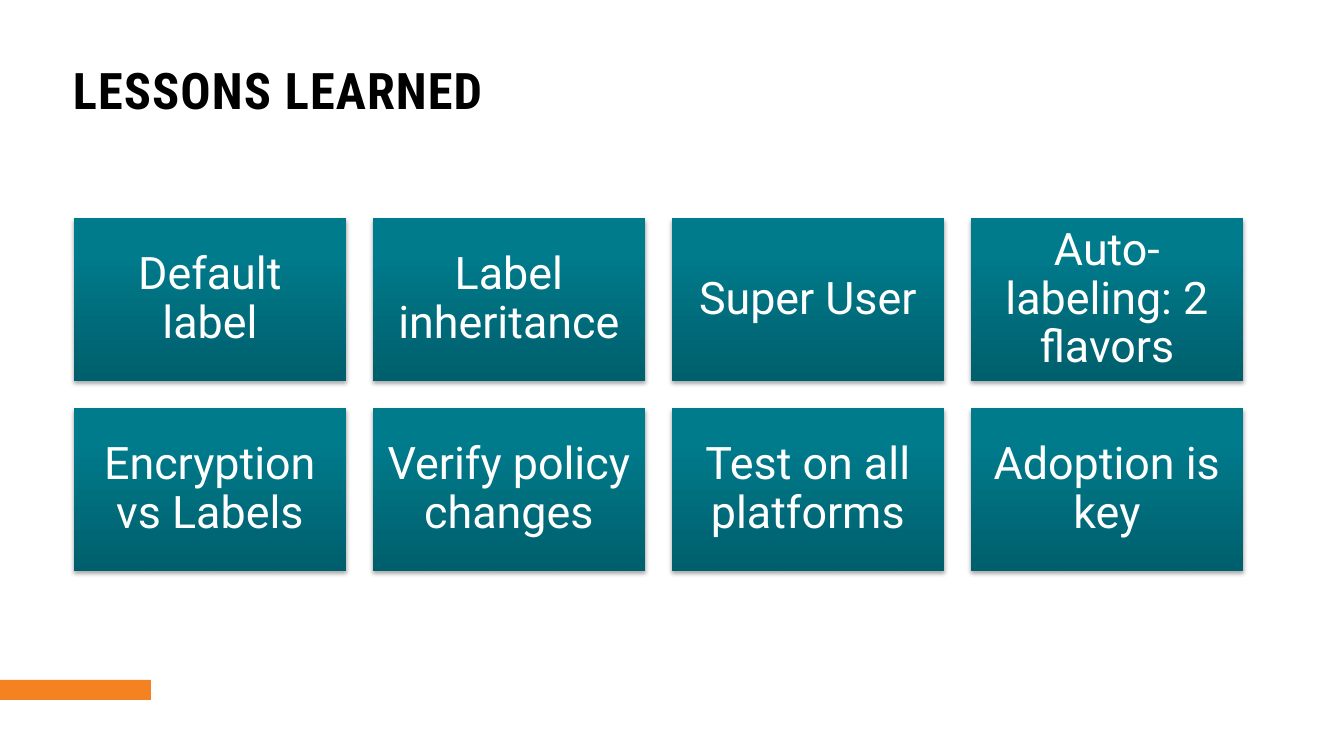
"""Build the Lessons Learned slide with a grid of eight cards."""
from copy import deepcopy

from lxml import etree
from pptx import Presentation
from pptx.dml.color import RGBColor
from pptx.enum.shapes import MSO_SHAPE
from pptx.enum.text import MSO_ANCHOR, PP_ALIGN
from pptx.oxml.ns import qn
from pptx.util import Pt

RECT = MSO_SHAPE.RECTANGLE
TOP, MIDDLE = MSO_ANCHOR.TOP, MSO_ANCHOR.MIDDLE
LEFT, CENTER = PP_ALIGN.LEFT, PP_ALIGN.CENTER

SCALE = 12192000 / 1344
CARD_W, CARD_H = 272, 163
GRID_X, GRID_Y = 74, 218
STEP_X, STEP_Y = 299, 190
COLUMNS = 4
GRADIENT = [(0, "005F6C"), (0.8, "007B8C"), (1, "007C8D")]
LABELS = [
    "Default label", "Label inheritance", "Super User", "Auto-labeling: 2 flavors",
    "Encryption vs Labels", "Verify policy changes", "Test on all platforms", "Adoption is key",
]
TITLE_FONT = {"name": "Roboto Condensed", "size": Pt(36), "bold": True}
CARD_FONT = {"name": "Roboto", "size": Pt(32)}


def px(*values):
    return [round(v * SCALE) for v in values]


def write(sp, text, font, color, align, anchor, spacing, inset):
    tf = sp.text_frame
    tf.word_wrap = True
    tf.vertical_anchor = anchor
    for side in ("left", "top", "right", "bottom"):
        setattr(tf, f"margin_{side}", px(inset)[0])
    p = tf.paragraphs[0]
    p.alignment = align
    p.line_spacing = spacing
    r = p.add_run()
    r.text = text
    for key, value in font.items():
        setattr(r.font, key, value)
    r.font.color.rgb = RGBColor.from_string(color)
    return r


prs = Presentation()
prs.slide_width, prs.slide_height = px(1344, 756)
s = prs.slides.add_slide(prs.slide_layouts[6])

brand_bar = s.shapes.add_shape(RECT, *px(0, 680, 151, 20))
brand_bar.shadow.inherit = False
brand_bar.fill.solid()
brand_bar.fill.fore_color.rgb = RGBColor.from_string("F58220")
brand_bar.line.fill.background()

title = s.shapes.add_textbox(*px(73, 64, 1211, 108))
r = write(title, "LESSONS LEARNED", TITLE_FONT, "000000", LEFT, TOP, 0.94, 0)
r.font._element.set("spc", "80")

for i, label in enumerate(LABELS):
    row, col = divmod(i, COLUMNS)
    x, y = GRID_X + col * STEP_X, GRID_Y + row * STEP_Y
    card = s.shapes.add_shape(RECT, *px(x, y, CARD_W, CARD_H))
    card.line.fill.background()
    card.fill.gradient()
    card.fill.gradient_angle = 90
    stops = card._element.spPr.find(".//" + qn("a:gsLst"))
    stops.append(deepcopy(stops[-1]))
    for stop, (position, color) in zip(card.fill.gradient_stops, GRADIENT):
        stop.position = position
        stop.color.rgb = RGBColor.from_string(color)

    card.shadow.inherit = False
    effects = card._element.spPr.find(qn("a:effectLst"))
    shadow = etree.SubElement(effects, qn("a:outerShdw"), blurRad="40000",
                              dist="23000", dir="5400000", rotWithShape="0")
    black = etree.SubElement(shadow, qn("a:srgbClr"), val="000000")
    etree.SubElement(black, qn("a:alpha"), val="35000")
    write(card, label, CARD_FONT, "FFFFFF", CENTER, MIDDLE, 0.9, 13)

prs.save("out.pptx")
